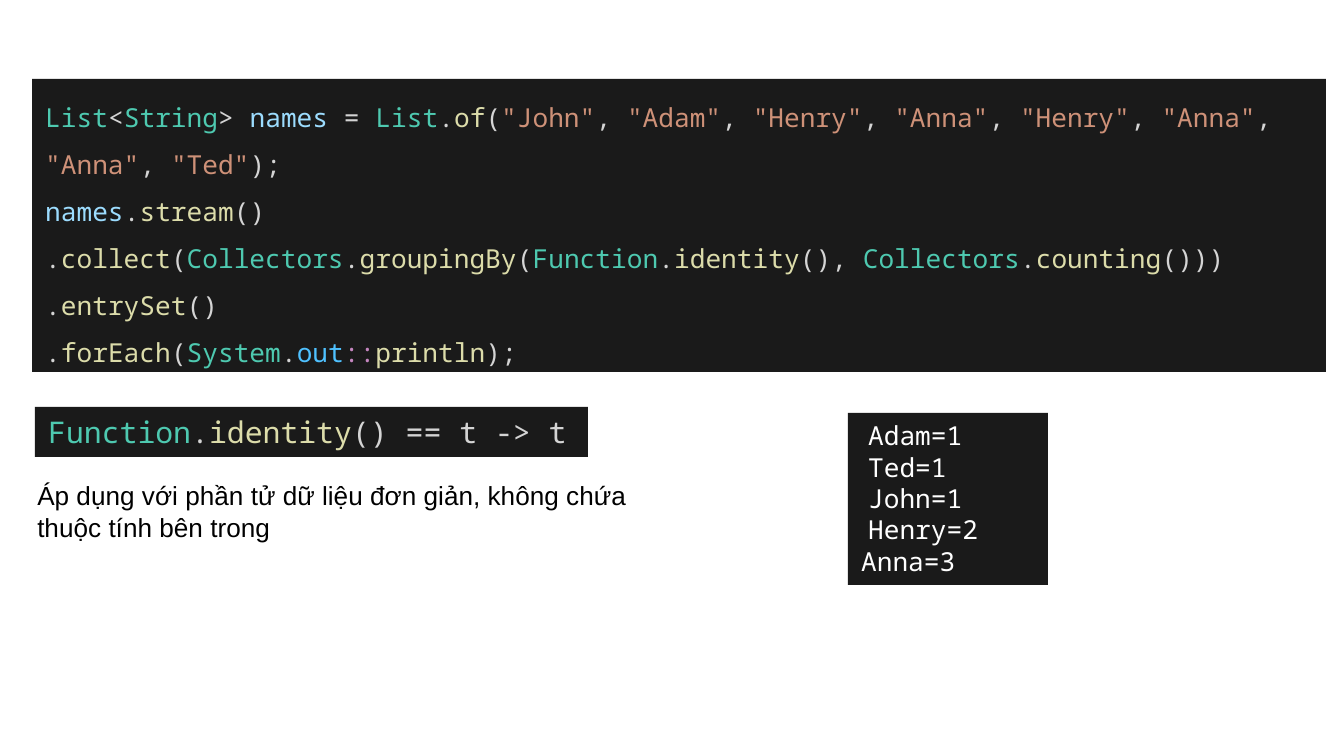
import itertools

import pptx
import pptx.dml.color
import pptx.enum.shapes
import pptx.enum.text
import pptx.util

EMU_PER_PX = 914400 / 134.4
PANEL, PLAIN, STRING = "1A1A1A", "D4D4D4", "CE9178"
TYPE, METHOD = "4EC9B0", "DCDCAA"
SYNTAX = {
    **dict.fromkeys(["List", "String", "Collectors", "Function", "System"], TYPE),
    **dict.fromkeys(["of", "stream", "collect", "groupingBy", "identity", "counting",
                     "entrySet", "forEach", "println"], METHOD),
    "names": "9CDCFE", "out": "4FC1FF", "::": "C586C0",
}


def px(length):
    return pptx.util.Emu(round(length * EMU_PER_PX))


def color(value):
    return pptx.dml.color.RGBColor.from_string(value)


def highlight(line):
    for index, part in enumerate(line.split('"')):
        if index % 2:
            yield f'"{part}"', STRING
            continue
        for _, letters in itertools.groupby(part, lambda c: (c.isalpha(), c == ":")):
            token = "".join(letters)
            yield token, SYNTAX.get(token, PLAIN)


class CodeSlide:
    """Draws dark code panels and plain notes on one slide."""

    code_font, note_font = "Noto Sans Mono", "Arial"

    def __init__(self, slide):
        self.slide = slide

    def fill_text(self, frame, lines, font, size, spacing=1, wrap=True):
        frame.word_wrap = wrap
        frame.auto_size = pptx.enum.text.MSO_AUTO_SIZE.SHAPE_TO_FIT_TEXT
        frame.vertical_anchor = pptx.enum.text.MSO_ANCHOR.TOP
        for index, tokens in enumerate(lines):
            paragraph = frame.paragraphs[0] if index == 0 else frame.add_paragraph()
            paragraph.alignment = pptx.enum.text.PP_ALIGN.LEFT
            paragraph.line_spacing = spacing
            paragraph.font.name = font
            paragraph.font.size = pptx.util.Pt(size)
            for token, shade in tokens:
                run = paragraph.add_run()
                run.text = token
                run.font.color.rgb = color(shade)

    def panel(self, box, lines, size, spacing=1, wrap=True):
        panel = self.slide.shapes.add_shape(
            pptx.enum.shapes.MSO_SHAPE.RECTANGLE, *map(px, box))
        panel.shadow.inherit = False
        panel.fill.solid()
        panel.fill.fore_color.rgb = color(PANEL)
        panel.line.fill.background()
        self.fill_text(panel.text_frame, lines, self.code_font, size, spacing, wrap)
        return panel.text_frame

    def code(self, box, lines, size, spacing=1, wrap=True):
        self.panel(box, map(highlight, lines), size, spacing, wrap)

    def output(self, box, lines, size, indented):
        frame = self.panel(box, [[(line, "FFFFFF")] for line in lines], size)
        for paragraph in frame.paragraphs[:indented]:
            paragraph._p.get_or_add_pPr().set("marL", str(px(7)))

    def note(self, box, lines, size):
        note = self.slide.shapes.add_textbox(*map(px, box))
        self.fill_text(note.text_frame, [[(line, "000000")] for line in lines],
                       self.note_font, size, wrap=False)


def main():
    deck = pptx.Presentation()
    deck.slide_width, deck.slide_height = px(1344), px(756)
    page = CodeSlide(deck.slides.add_slide(deck.slide_layouts[6]))
    page.code((32, 79, 1294, 293), [
        'List<String> names = List.of("John", "Adam", "Henry", "Anna", "Henry", "Anna", "Anna", "Ted");',
        "names.stream()",
        ".collect(Collectors.groupingBy(Function.identity(), Collectors.counting()))",
        ".entrySet()",
        ".forEach(System.out::println);",
    ], 14, spacing=1.5)
    page.code((35, 407, 553, 50), ["Function.identity() == t -> t"], 16, wrap=False)
    page.output((848, 413, 200, 172),
                ["Adam=1", "Ted=1", "John=1", "Henry=2", "Anna=3"], 14, indented=4)
    page.note((24, 473, 620, 77), [
        "Áp dụng với phần tử dữ liệu đơn giản, không chứa",
        "thuộc tính bên trong",
    ], 14)
    deck.save("out.pptx")


if __name__ == "__main__":
    main()
